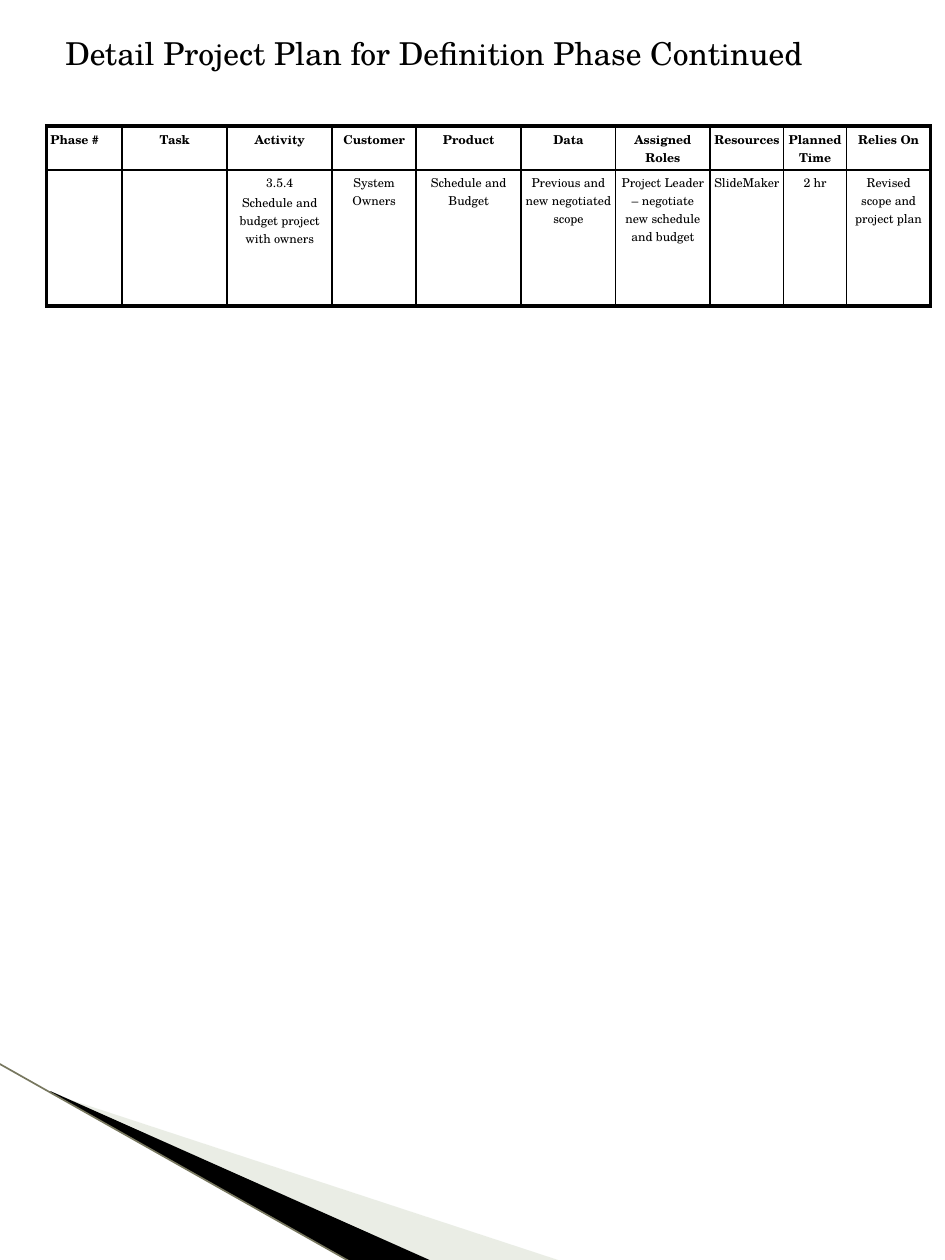
from lxml import etree
from pptx import Presentation
from pptx import util as u
from pptx.dml.color import RGBColor
from pptx.enum import shapes, text
from pptx.oxml.ns import qn

INK = "000000"
PALE = "CBD4C0"
EDGE = "77775F"
TWELFTH = u.Inches(1 / 12)
THICK, THIN = u.Pt(2.25), u.Pt(1)


def rgb(value):
    return RGBColor.from_string(value)


def write(paragraph, words, **font_format):
    run = paragraph.add_run()
    run.text = words
    run.font.name = "TeX Gyre Schola"
    run.font.color.rgb = rgb(INK)
    for name, value in font_format.items():
        setattr(run.font, name, value)


prs = Presentation()
prs.slide_width, prs.slide_height = u.Inches(7.5), u.Inches(10)
slide = prs.slides.add_slide(prs.slide_layouts[6])

# Corner wedges, pale one behind the black one
wedges = [
    (PALE, 40, [(0.41, 8.68), (4.46, 10.01), (3.42, 10.01), (0.41, 8.67)]),
    (INK, 100, [(0.4, 8.66), (3.43, 10.01), (2.79, 10.02), (0.4, 8.67)]),
]
for color, opacity, corners in wedges:
    points = [(u.Inches(x), u.Inches(y)) for x, y in corners]
    outline = slide.shapes.build_freeform(*points[0])
    outline.add_line_segments(points[1:], close=True)
    wedge = outline.convert_to_shape()
    wedge.shadow.inherit = False
    wedge.line.fill.background()
    wedge.fill.solid()
    wedge.fill.fore_color.rgb = rgb(color)
    if opacity < 100:
        tint = wedge.fill._xPr.find(".//" + qn("a:srgbClr"))
        etree.SubElement(tint, qn("a:alpha"), val=str(opacity * 1000))

edge = slide.shapes.add_connector(
    shapes.MSO_CONNECTOR.STRAIGHT,
    u.Inches(-0.01), u.Inches(8.44), u.Inches(2.79), u.Inches(10.02))
edge.line.color.rgb = rgb(EDGE)
edge.line.width = u.Pt(0.95)
etree.SubElement(edge._element.spPr, qn("a:effectLst"))

# Heading
heading = slide.shapes.add_textbox(
    u.Inches(0.42), u.Inches(0.22), u.Inches(6.33), u.Inches(0.4)).text_frame
heading.word_wrap = True
write(heading.paragraphs[0], "Detail Project Plan for Definition Phase Continued",
      size=u.Pt(18))

# Plan table: column label, width in twelfths of an inch, entry
plan = [
    ("Phase #", 7.2, ""),
    ("Task", 10, ""),
    ("Activity", 10, "3.5.4\nSchedule and budget project with owners"),
    ("Customer", 8, "System Owners"),
    ("Product", 10, "Schedule and Budget"),
    ("Data", 9, "Previous and new negotiated scope"),
    ("Assigned Roles", 9, "Project Leader – negotiate new schedule and budget"),
    ("Resources", 7, "SlideMaker"),
    ("Planned Time", 6, "2 hr"),
    ("Relies On", 8, "Revised scope and project plan"),
]
cell_format = {"margin_left": u.Inches(0.03), "margin_right": u.Inches(0.03),
               "margin_top": u.Inches(0.03), "margin_bottom": u.Inches(0.03)}
last = len(plan) - 1
table = slide.shapes.add_table(
    2, len(plan), u.Inches(0.37), u.Inches(1), u.Inches(7.02), u.Inches(1.43)).table
table.first_row = table.horz_banding = False
table.rows[0].height, table.rows[1].height = u.Inches(0.35), u.Inches(1.08)

for col, (label, width, entry) in enumerate(plan):
    table.columns[col].width = int(width * TWELFTH)
    for row, words in enumerate((label, entry)):
        cell = table.cell(row, col)
        for name, value in cell_format.items():
            setattr(cell, name, value)
        borders = {"a:lnL": col == 0, "a:lnR": col == last,
                   "a:lnT": row == 0, "a:lnB": row == 1}
        for side, outer in borders.items():
            border = etree.SubElement(cell._tc.get_or_add_tcPr(), qn(side),
                                      w=str(THICK if outer else THIN))
            paint = etree.SubElement(border, qn("a:solidFill"))
            etree.SubElement(paint, qn("a:srgbClr"), val=INK)
        cell.fill.background()
        for index, line in enumerate(words.split("\n") if words else []):
            frame = cell.text_frame
            paragraph = frame.add_paragraph() if index else frame.paragraphs[0]
            paragraph.space_before = u.Pt(1.4)
            if label != "Phase #":
                paragraph.alignment = text.PP_ALIGN.CENTER
            write(paragraph, line, size=u.Pt(7), bold=row == 0)

prs.save("out.pptx")
